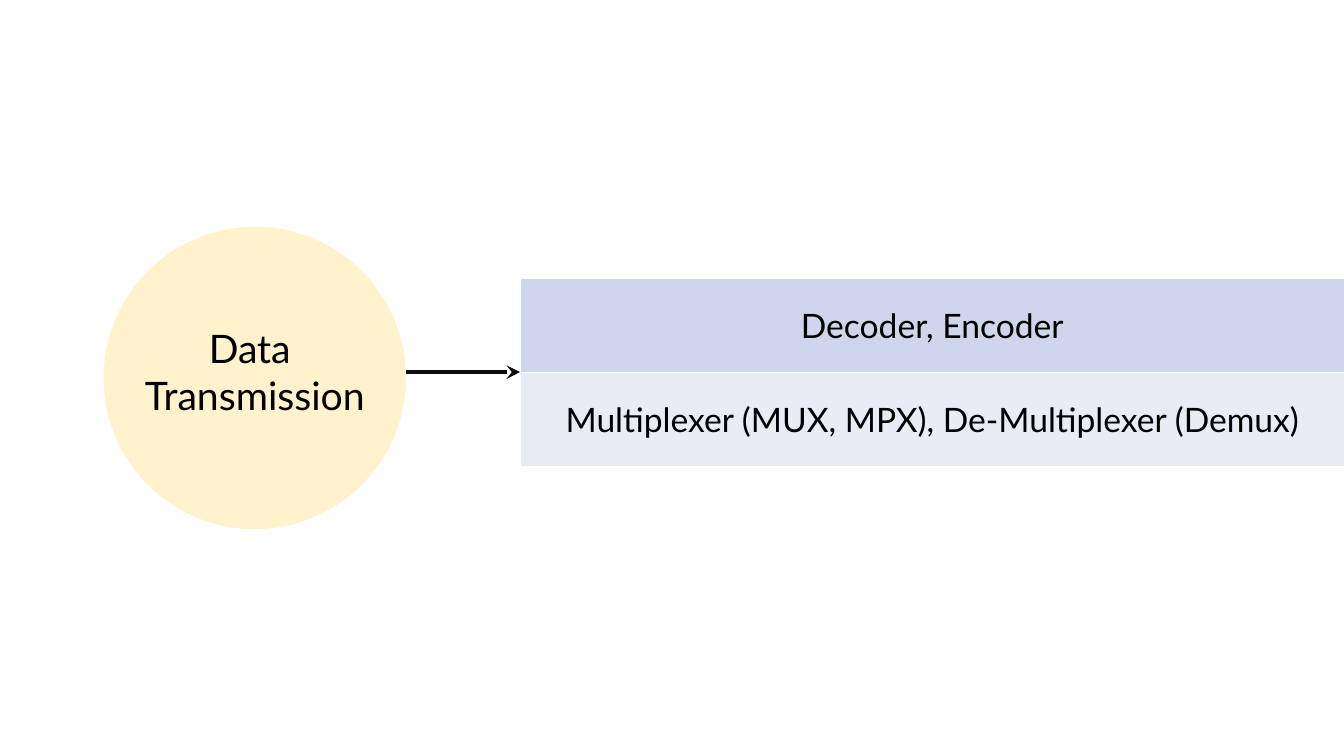
from lxml import etree
from pptx import Presentation
from pptx.dml.color import RGBColor
from pptx.enum import shapes, text
from pptx.oxml import ns
from pptx.util import Pt

COLORS = {
    "circle": "FFF2CC",
    "text": "000000",
    "arrow": "0D0D0D",
    "border": "FFFFFF",
    "decoder": "CFD5EA",
    "multiplexer": "E9EBF5",
}


def color(name):
    return RGBColor.from_string(COLORS[name])


def style_paragraph(para, size):
    para.alignment = text.PP_ALIGN.CENTER
    para.font.name = "Lato"
    para.font.size = Pt(size)
    para.font.color.rgb = color("text")


deck = Presentation()
deck.slide_width, deck.slide_height = Pt(960), Pt(540)
page = deck.slides.add_slide(deck.slide_layouts[6])

# Topic circle with its label
topic = page.shapes.add_group_shape()
circle = topic.shapes.add_shape(
    shapes.MSO_SHAPE.OVAL, Pt(74), Pt(162), Pt(216), Pt(216))
circle.shadow.inherit = False
circle.fill.solid()
circle.fill.fore_color.rgb = color("circle")
circle.line.fill.background()

label = topic.shapes.add_textbox(Pt(95.2), Pt(228.2), Pt(173.6), Pt(75))
label.fill.solid()
label.fill.fore_color.rgb = color("circle")
frame = label.text_frame
frame.word_wrap = False
frame.auto_size = text.MSO_AUTO_SIZE.SHAPE_TO_FIT_TEXT
frame.text = "Data \nTransmission"
for para in frame.paragraphs:
    style_paragraph(para, 28)

# Arrow from the circle to the table
arrow = page.shapes.add_connector(
    shapes.MSO_CONNECTOR.STRAIGHT, Pt(290), Pt(265.8), Pt(371.5), Pt(265.8))
arrow.line.color.rgb = color("arrow")
arrow.line.width = Pt(3.25)
etree.SubElement(arrow.line._get_or_add_ln(), ns.qn("a:tailEnd"), type="stealth")
etree.SubElement(arrow._element.spPr, ns.qn("a:effectLst"))

# Table of circuits
rows = [
    ("Decoder, Encoder", "decoder"),
    ("Multiplexer (MUX, MPX), De-Multiplexer (Demux)", "multiplexer"),
]
table = page.shapes.add_table(
    len(rows), 1, Pt(371.5), Pt(198.6), Pt(588.8), Pt(67.5 * len(rows))).table
table.first_row = False
table.horz_banding = False
for index, (wording, fill) in enumerate(rows):
    cell = table.cell(index, 0)
    cell.text = wording
    cell.vertical_anchor = text.MSO_ANCHOR.MIDDLE
    style_paragraph(cell.text_frame.paragraphs[0], 24)
    cell.fill.solid()
    cell.fill.fore_color.rgb = color(fill)

    # Borders come before the fill in the cell properties
    properties = cell._tc.get_or_add_tcPr()
    for position, side in enumerate(("lnL", "lnR", "lnT", "lnB")):
        border = etree.Element(ns.qn(f"a:{side}"), w=str(Pt(1)))
        solid = etree.SubElement(border, ns.qn("a:solidFill"))
        etree.SubElement(solid, ns.qn("a:srgbClr"), val=COLORS["border"])
        properties.insert(position, border)

deck.save("out.pptx")
